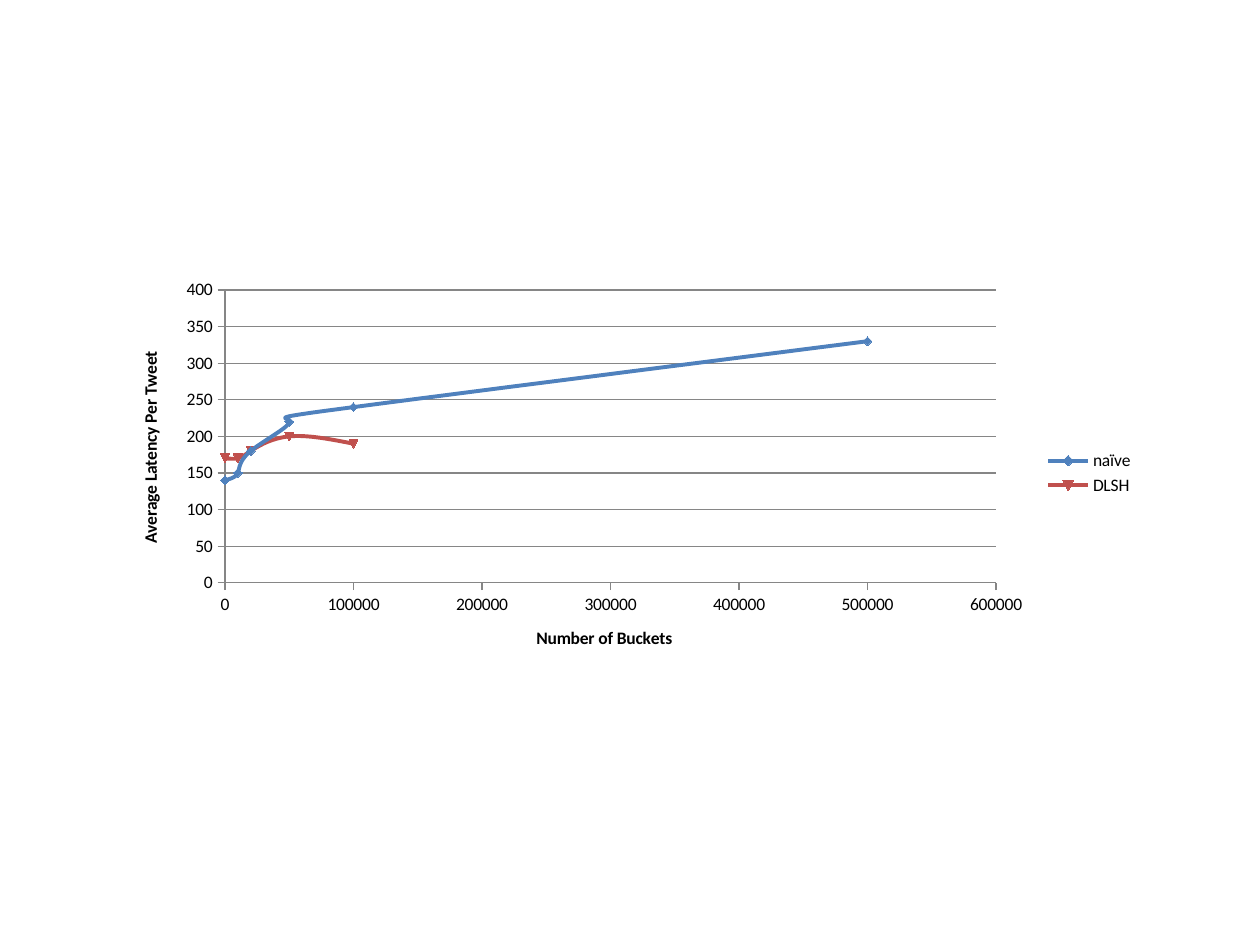
from dataclasses import dataclass

from pptx import Presentation
from pptx import util as u
from pptx.chart import data
from pptx.dml import color
from pptx.enum import chart as ch
from pptx.oxml import ns


@dataclass(frozen=True)
class Theme:
    font: str = "Calibri"
    size: int = 10
    ink: str = "000000"
    rule: str = "868686"
    curves: tuple = ("4F81BD", "C0504D")
    curve_width: float = 2.25
    rule_width: float = 0.75
    marker_size: int = 5


class Deck:
    def __init__(self, theme, width, height):
        self.theme = theme
        self.prs = Presentation()
        self.prs.slide_width = u.Inches(width)
        self.prs.slide_height = u.Inches(height)
        self.slide = self.prs.slides.add_slide(self.prs.slide_layouts[6])

    def style_font(self, font, bold=False):
        font.name = self.theme.font
        font.size = u.Pt(self.theme.size)
        font.bold = bold
        font.color.rgb = color.RGBColor.from_string(self.theme.ink)

    def style_line(self, line, rgb, width):
        line.color.rgb = color.RGBColor.from_string(rgb)
        line.width = u.Pt(width)

    def axis(self, axis, title, maximum, step, gridlines):
        axis.minimum_scale, axis.maximum_scale = 0, maximum
        axis.major_unit = step
        axis.major_tick_mark = ch.XL_TICK_MARK.OUTSIDE
        axis.minor_tick_mark = ch.XL_TICK_MARK.NONE
        axis.tick_labels.number_format = "General"
        axis.tick_labels.number_format_is_linked = False
        axis.has_major_gridlines = gridlines
        rules = [axis.format.line]
        if gridlines:
            rules.append(axis.major_gridlines.format.line)
        for rule in rules:
            self.style_line(rule, self.theme.rule, self.theme.rule_width)
        axis.axis_title.text_frame.text = title
        heading = axis.axis_title.text_frame.paragraphs[0].runs[0]
        self.style_font(heading.font, bold=True)

    def scatter(self, box, curves):
        points = data.XyChartData()
        for name, pairs in curves.items():
            curve = points.add_series(name)
            for x, y in pairs:
                curve.add_data_point(x, y)
        chart = self.slide.shapes.add_chart(
            ch.XL_CHART_TYPE.XY_SCATTER_SMOOTH, *map(u.Inches, box), points
        ).chart
        chart.has_title = False
        self.style_font(chart.font)
        chart.has_legend = True
        chart.legend.position = ch.XL_LEGEND_POSITION.RIGHT
        chart.legend.include_in_layout = False
        chart.plots[0].vary_by_categories = False
        for curve, rgb in zip(chart.plots[0].series, self.theme.curves):
            self.style_line(curve.format.line, rgb, self.theme.curve_width)
            curve.marker.size = self.theme.marker_size
            curve.marker.format.fill.solid()
            curve.marker.format.fill.fore_color.rgb = color.RGBColor.from_string(rgb)
            self.style_line(curve.marker.format.line, rgb, self.theme.rule_width)
            curve._element.find(ns.qn("c:smooth")).set("val", "1")
        chart.plots[0].series[0].marker.style = ch.XL_MARKER_STYLE.DIAMOND
        return chart


buckets = [0, 10000, 20000, 50000, 100000, 500000]
latencies = {
    "naïve": [140, 150, 180, 220, 240, 330],
    "DLSH": [170, 170, 180, 200, 190, None],
}

deck = Deck(Theme(), 10, 7.5)
latency_chart = deck.scatter(
    (0.9, 2.16, 8.2, 3.19),
    {name: list(zip(buckets, values)) for name, values in latencies.items()},
)
deck.axis(latency_chart.category_axis, "Number of Buckets", 600000, 100000, False)
deck.axis(latency_chart.value_axis, "Average Latency Per Tweet", 400, 50, True)
deck.prs.save("out.pptx")
